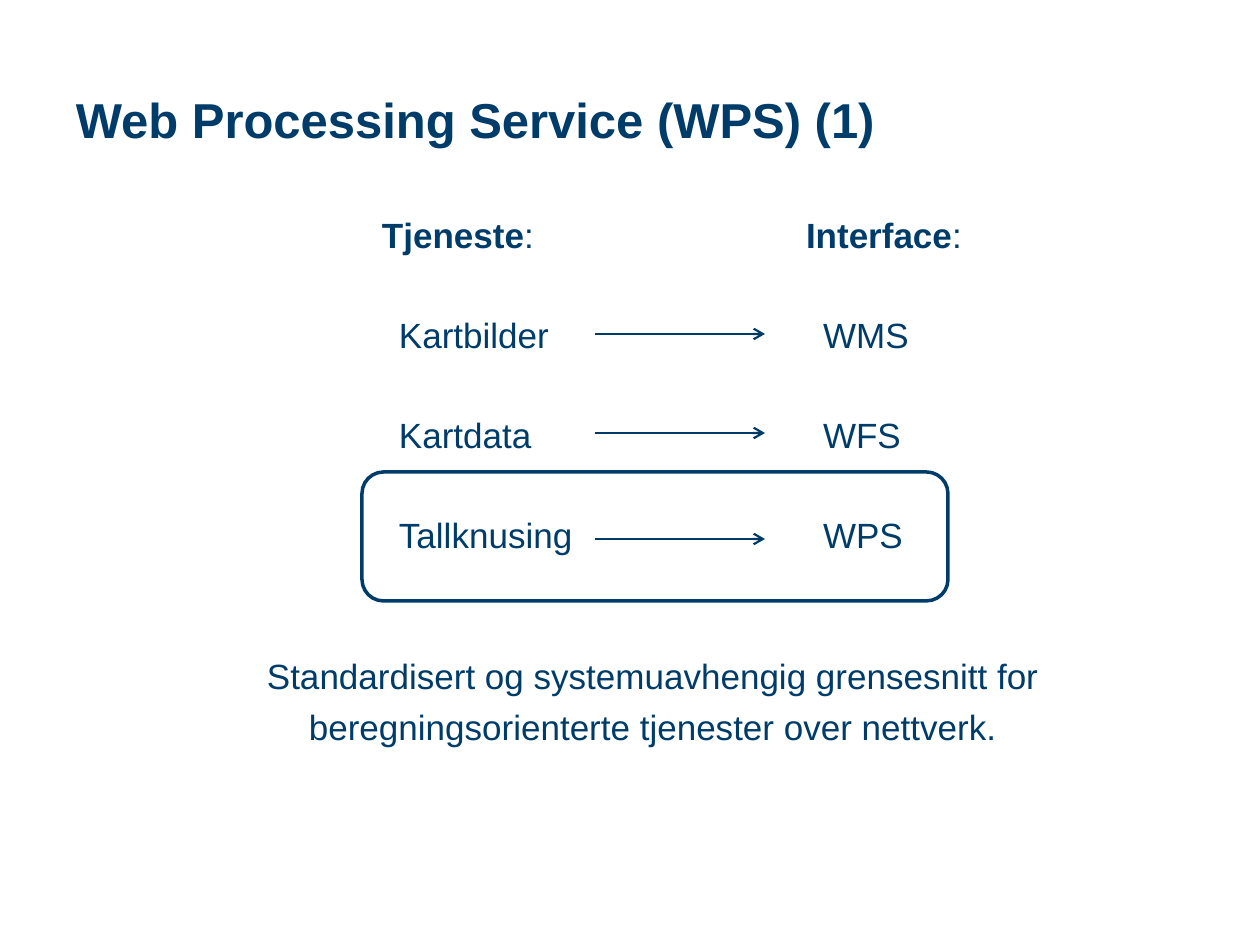
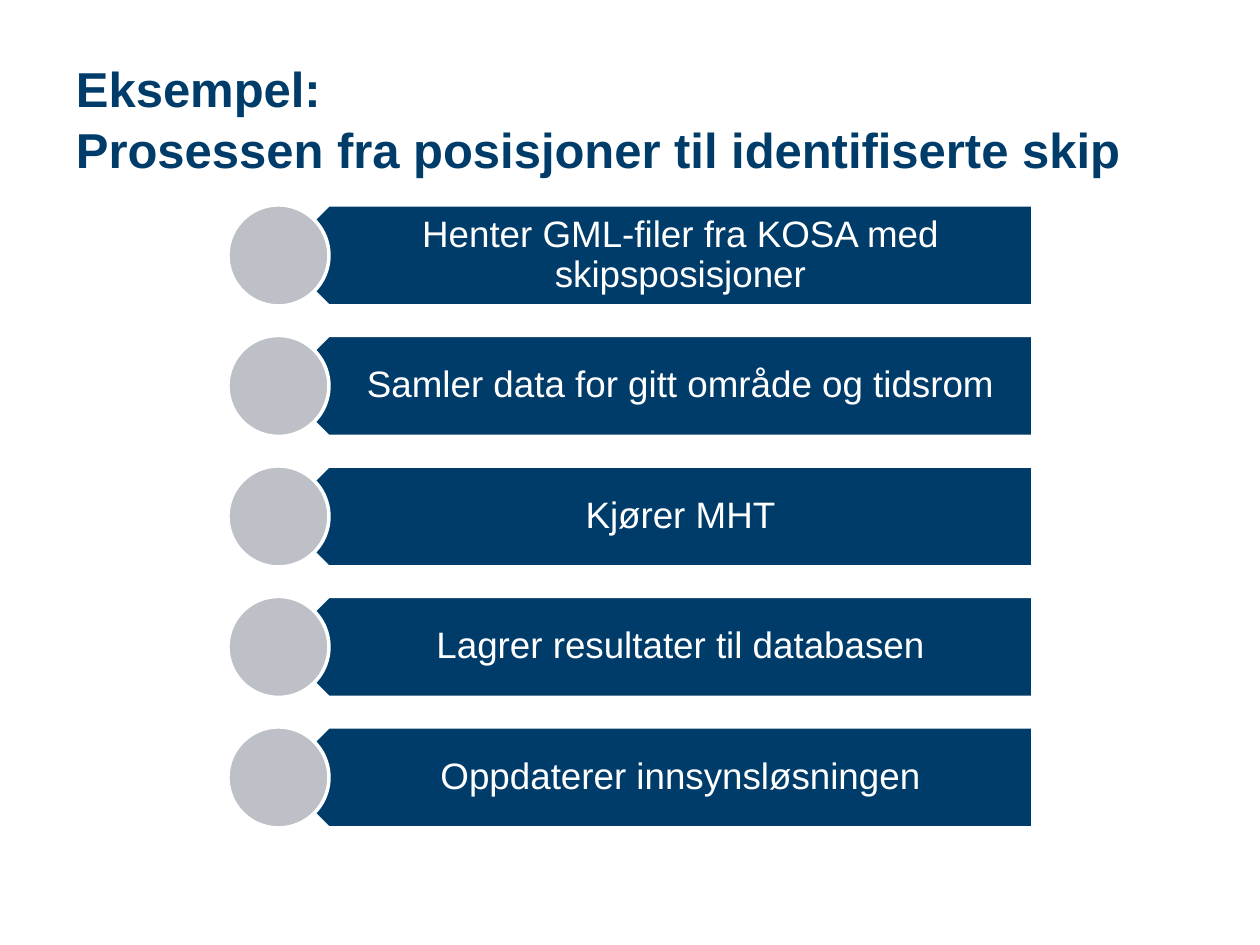
from lxml import etree
from pptx import Presentation
from pptx.dml.color import RGBColor
from pptx.enum.shapes import MSO_CONNECTOR, MSO_SHAPE
from pptx.enum.text import MSO_ANCHOR, PP_ALIGN
from pptx.oxml.ns import qn
from pptx.util import Pt

PX = 914400 // 126  # EMU in one px
FONT = "Arial"
NAVY, ARROW_NAVY, GREY, WHITE = "003C69", "003B67", "BDC0C7", "FFFFFF"

SERVICE_TITLE = "Web Processing Service (WPS) (1)"
COLUMNS = [  # left edge, heading, entries
    (382, "Tjeneste", ["Kartbilder", "Kartdata", "Tallknusing"]),
    (806, "Interface", ["WMS", "WFS", "WPS"]),
]
ARROW_LEFT, ARROW_RIGHT = 595, 765
ARROW_HEIGHTS = [334, 433, 539]
SUMMARY = [
    "Standardisert og systemuavhengig grensesnitt for",
    "beregningsorienterte tjenester over nettverk.",
]

PROCESS_TITLE = "Eksempel:\nProsessen fra posisjoner til identifiserte skip"
STEPS = [
    "Henter GML-filer fra KOSA med skipsposisjoner",
    "Samler data for gitt område og tidsrom",
    "Kjører MHT",
    "Lagrer resultater til databasen",
    "Oppdaterer innsynsløsningen",
]
FIRST_STEP_TOP, LAST_STEP_TOP, STEP_HEIGHT = 205, 727, 101


def px(*lengths):
    return [round(length * PX) for length in lengths]


def color(hex_value):
    return RGBColor.from_string(hex_value)


def add_text(slide, box, text, size, ink=NAVY, bold=False, align=PP_ALIGN.LEFT,
             anchor=MSO_ANCHOR.TOP, insets=(0, 0, 0, 0), line_spacing=1.0):
    """Add a wrapped text box at box (left, top, width, height); return its paragraphs."""
    frame = slide.shapes.add_textbox(*px(*box)).text_frame
    frame.word_wrap = True
    frame.vertical_anchor = anchor
    (frame.margin_left, frame.margin_top,
     frame.margin_right, frame.margin_bottom) = px(*insets)
    frame.text = text
    for paragraph in frame.paragraphs:
        paragraph.alignment = align
        paragraph.line_spacing = line_spacing
        for run in paragraph.runs:
            run.font.name = FONT
            run.font.size = Pt(size)
            run.font.bold = bold
            run.font.color.rgb = color(ink)
    return frame.paragraphs


def add_title(slide, text):
    add_text(slide, (63, 38, 1134, 158), text, 28, bold=True,
             anchor=MSO_ANCHOR.MIDDLE, insets=(13, 6, 13, 6), line_spacing=1.05)


def add_outlined(slide, kind, box, fill, line):
    shape = slide.shapes.add_shape(kind, *px(*box))
    shape.shadow.inherit = False
    shape.fill.solid()
    shape.fill.fore_color.rgb = color(fill)
    shape.line.color.rgb = color(line)
    shape.line.width = Pt(2)
    return shape


def add_arrow(slide, left, right, height):
    arrow = slide.shapes.add_connector(
        MSO_CONNECTOR.STRAIGHT, *px(left, height, right, height))
    arrow.line.color.rgb = color(ARROW_NAVY)
    arrow.line.width = Pt(1.25)
    properties = arrow.element.spPr
    etree.SubElement(properties.find(qn("a:ln")), qn("a:tailEnd"), type="arrow")
    etree.SubElement(properties, qn("a:effectLst"))


def add_column(slide, left, heading, entries):
    """Add a bold heading with its entries indented below it."""
    head, *rows = add_text(slide, (left, 214, 210, 340),
                           "\n".join([heading, *entries]), 20)
    head.runs[0].font.bold = True
    colon = head.add_run()
    colon.text = ":"
    colon.font.name = FONT
    colon.font.size = Pt(20)
    colon.font.color.rgb = color(NAVY)
    for row in rows:
        row.space_before = Pt(33)
        row._p.get_or_add_pPr().set("marL", str(17 * PX))


def add_step(slide, top, text):
    banner = add_outlined(slide, MSO_SHAPE.PENTAGON, (278, top, 755, STEP_HEIGHT),
                          NAVY, WHITE)
    banner.rotation = 180
    add_text(slide, (304, top, 729, STEP_HEIGHT), text, 21, ink=WHITE,
             align=PP_ALIGN.CENTER, anchor=MSO_ANCHOR.MIDDLE,
             insets=(44, 11, 20, 11), line_spacing=0.9)
    add_outlined(slide, MSO_SHAPE.OVAL, (228, top, STEP_HEIGHT, STEP_HEIGHT),
                 GREY, WHITE)


def build_service_slide(slide):
    add_outlined(slide, MSO_SHAPE.ROUNDED_RECTANGLE, (362, 472, 586, 129),
                 WHITE, NAVY)
    add_title(slide, SERVICE_TITLE)
    for column in COLUMNS:
        add_column(slide, *column)
    summary = add_text(slide, (109, 655, 1088, 100), "\n".join(SUMMARY), 20,
                       align=PP_ALIGN.CENTER)
    summary[1].space_before = Pt(5)
    for height in ARROW_HEIGHTS:
        add_arrow(slide, ARROW_LEFT, ARROW_RIGHT, height)


def build_process_slide(slide):
    add_title(slide, PROCESS_TITLE)
    pitch = (LAST_STEP_TOP - FIRST_STEP_TOP) / (len(STEPS) - 1)
    for index, text in enumerate(STEPS):
        add_step(slide, FIRST_STEP_TOP + index * pitch, text)


def main():
    presentation = Presentation()
    presentation.slide_width, presentation.slide_height = px(1260, 945)
    blank = presentation.slide_layouts[6]
    for build in (build_service_slide, build_process_slide):
        build(presentation.slides.add_slide(blank))
    presentation.save("out.pptx")


if __name__ == "__main__":
    main()
